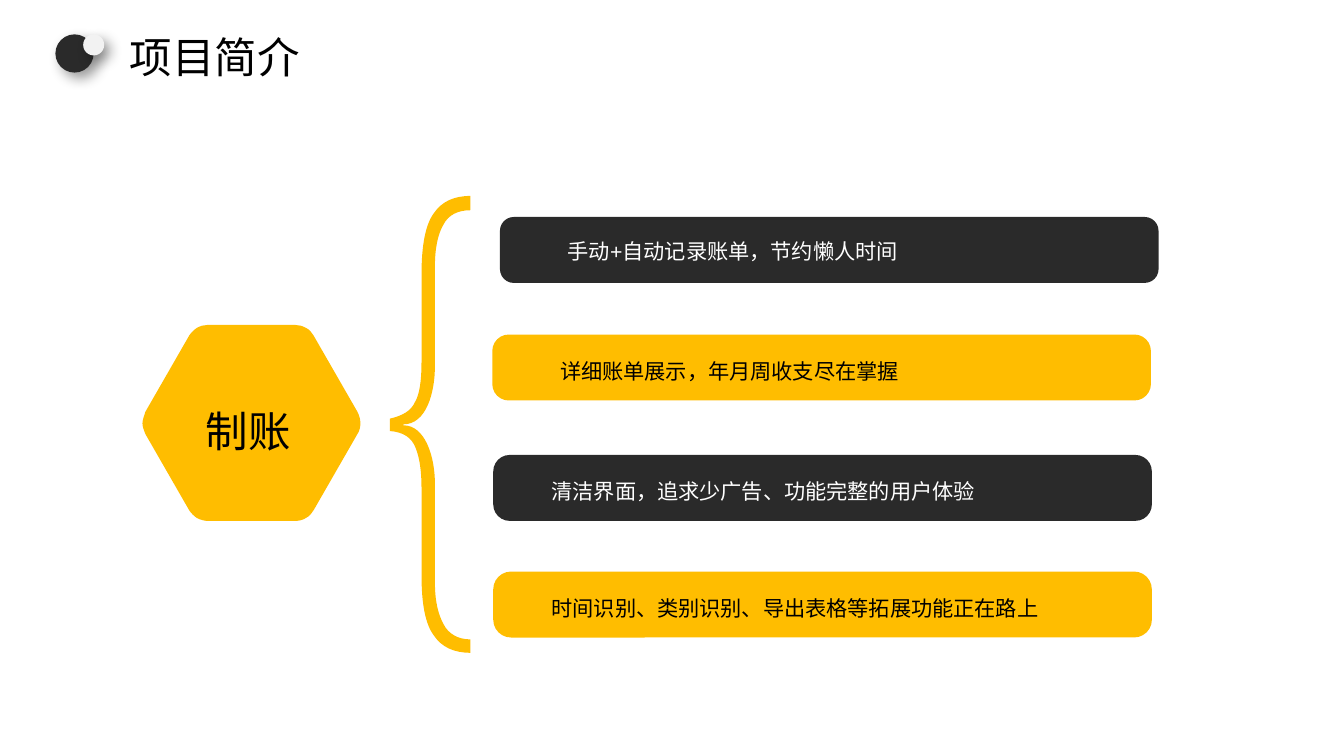
"""Build the project introduction slide: a hexagon, a brace and four feature bars."""
from lxml.etree import SubElement
from pptx import Presentation
from pptx.dml.color import RGBColor
from pptx.enum.shapes import MSO_SHAPE
from pptx.enum.text import MSO_ANCHOR, MSO_AUTO_SIZE, PP_ALIGN
from pptx.oxml.ns import qn
from pptx.util import Pt

SCALE = 9144
CJK_FONT = "Noto Sans CJK SC"
GOLD, DARK, PALE, BLACK, WHITE = "FFBD00", "2A2A2A", "F2F2F2", "000000", "FFFFFF"


def paint(target, colour):
    """Give a shape or a font one solid colour."""
    fill = target.fill
    fill.solid()
    fill.fore_color.rgb = RGBColor.from_string(colour)
    if hasattr(target, "shadow"):
        target.line.fill.background()
        target.shadow.inherit = False


def draw_outline(shapes, start, steps):
    """Draw a closed outline whose steps are line ends or cubic curves."""
    builder = shapes.build_freeform(*start, scale=SCALE)
    builder.add_line_segments([step[-1] for step in steps], close=True)
    outline = builder.convert_to_shape()
    left, top = round(outline.left / SCALE), round(outline.top / SCALE)
    segments = list(outline._element.iter(qn("a:lnTo")))
    for segment, step in zip(segments, steps):
        if len(step) == 3:
            segment.tag = qn("a:cubicBezTo")
            for position, (x, y) in enumerate(step[:2]):
                control = SubElement(segment, qn("a:pt"), x=str(x - left), y=str(y - top))
                segment.insert(position, control)
    return outline


deck = Presentation()
deck.slide_width = 1406 * SCALE
deck.slide_height = 791 * SCALE
page = deck.slides.add_slide(deck.slide_layouts[5])
shapes = page.shapes

hexagon = draw_outline(shapes, (328, 534), [
    [(326, 537), (324, 540), (320, 542)],
    [(317, 544), (313, 545), (309, 545)],
    [(217, 545)],
    [(214, 545), (210, 544), (206, 542)],
    [(203, 540), (200, 537), (198, 534)],
    [(152, 454)],
    [(151, 451), (149, 447), (149, 443)],
    [(149, 439), (151, 435), (152, 431)],
    [(198, 351)],
    [(200, 348), (203, 345), (206, 343)],
    [(210, 341), (213, 340), (217, 340)],
    [(309, 340)],
    [(313, 340), (316, 341), (320, 343)],
    [(324, 345), (326, 348), (328, 351)],
    [(374, 431)],
    [(376, 435), (377, 439), (377, 443)],
    [(377, 447), (376, 451), (374, 454)],
])
brace = draw_outline(shapes, (455, 506), [
    [(455, 609)],
    [(455, 628), (458, 642), (464, 653)],
    [(469, 663), (479, 669), (492, 669)],
    [(492, 683)],
    [(475, 683), (462, 677), (454, 665)],
    [(445, 653), (441, 632), (441, 601)],
    [(441, 510)],
    [(441, 493), (439, 479), (435, 469)],
    [(431, 458), (422, 452), (408, 451)],
    [(408, 438)],
    [(421, 435), (430, 430), (434, 421)],
    [(439, 413), (441, 398), (441, 379)],
    [(441, 288)],
    [(441, 257), (445, 235), (454, 223)],
    [(462, 211), (475, 205), (492, 205)],
    [(492, 220)],
    [(479, 220), (469, 225), (464, 235)],
    [(458, 245), (455, 260), (455, 279)],
    [(455, 383)],
    [(455, 411), (446, 444), (422, 444)],
    [(422, 445)],
    [(445, 445), (455, 478), (455, 506)],
])
for outline in (hexagon, brace):
    paint(outline, GOLD)

bars = [
    (523, 227, 0.21, DARK),
    (515, 350, 0.25, GOLD),
    (516, 476, 0.25, DARK),
    (516, 598, 0.27, GOLD),
]
for left, top, rounding, colour in bars:
    bar = shapes.add_shape(MSO_SHAPE.ROUNDED_RECTANGLE, left * SCALE, top * SCALE, 689 * SCALE, 69 * SCALE)
    bar.adjustments[0] = rounding
    paint(bar, colour)

for left, size, colour in ((58, 40, DARK), (87, 22, PALE)):
    dot = shapes.add_shape(MSO_SHAPE.OVAL, left * SCALE, 36 * SCALE, size * SCALE, size * SCALE)
    paint(dot, colour)
    effects = dot._element.spPr.find(qn("a:effectLst"))
    shadow = SubElement(effects, qn("a:outerShdw"), blurRad=str(Pt(10)), dist=str(Pt(6)),
                        dir="2700000", algn="tl", rotWithShape="0")
    shade = SubElement(shadow, qn("a:srgbClr"), val=BLACK)
    SubElement(shade, qn("a:alpha"), val="40000")

title = shapes.title
title.left, title.top, title.width, title.height = (length * SCALE for length in (126, 27, 335, 40))
title.text_frame.text = "项目简介"
title.text_frame.auto_size = MSO_AUTO_SIZE.NONE
title.text_frame.vertical_anchor = MSO_ANCHOR.TOP
title.text_frame.paragraphs[0].alignment = PP_ALIGN.LEFT
styled_texts = [(title, 32, "Arial", BLACK)]

labels = [
    (190, 413, 140, 59, 32, "Arial", BLACK, PP_ALIGN.CENTER, "制账"),
    (594, 244, 534, 30, 16, "Arial", WHITE, PP_ALIGN.JUSTIFY, "手动+自动记录账单，节约懒人时间"),
    (586, 370, 534, 62, 16, CJK_FONT, BLACK, PP_ALIGN.JUSTIFY, "详细账单展示，年月周收支尽在掌握"),
    (577, 495, 534, 30, 16, CJK_FONT, WHITE, PP_ALIGN.JUSTIFY, "清洁界面，追求少广告、功能完整的用户体验"),
    (577, 618, 534, 30, 16, "Arial", BLACK, PP_ALIGN.JUSTIFY, "时间识别、类别识别、导出表格等拓展功能正在路上"),
]
for left, top, width, height, size, font_name, colour, alignment, wording in labels:
    box = shapes.add_textbox(left * SCALE, top * SCALE, width * SCALE, height * SCALE)
    frame = box.text_frame
    frame.word_wrap = True
    frame.auto_size = MSO_AUTO_SIZE.SHAPE_TO_FIT_TEXT
    frame.margin_left = frame.margin_top = frame.margin_right = frame.margin_bottom = 0
    frame.text = wording
    para = frame.paragraphs[0]
    para.alignment = alignment
    para.line_spacing = 1.2
    styled_texts.append((box, size, font_name, colour))

for box, size, font_name, colour in styled_texts:
    span = box.text_frame.paragraphs[0].runs[0]
    span.font.size = Pt(size)
    span.font.name = font_name
    paint(span.font, colour)
    SubElement(span._r.get_or_add_rPr(), qn("a:ea"), typeface=CJK_FONT)

deck.save("out.pptx")
